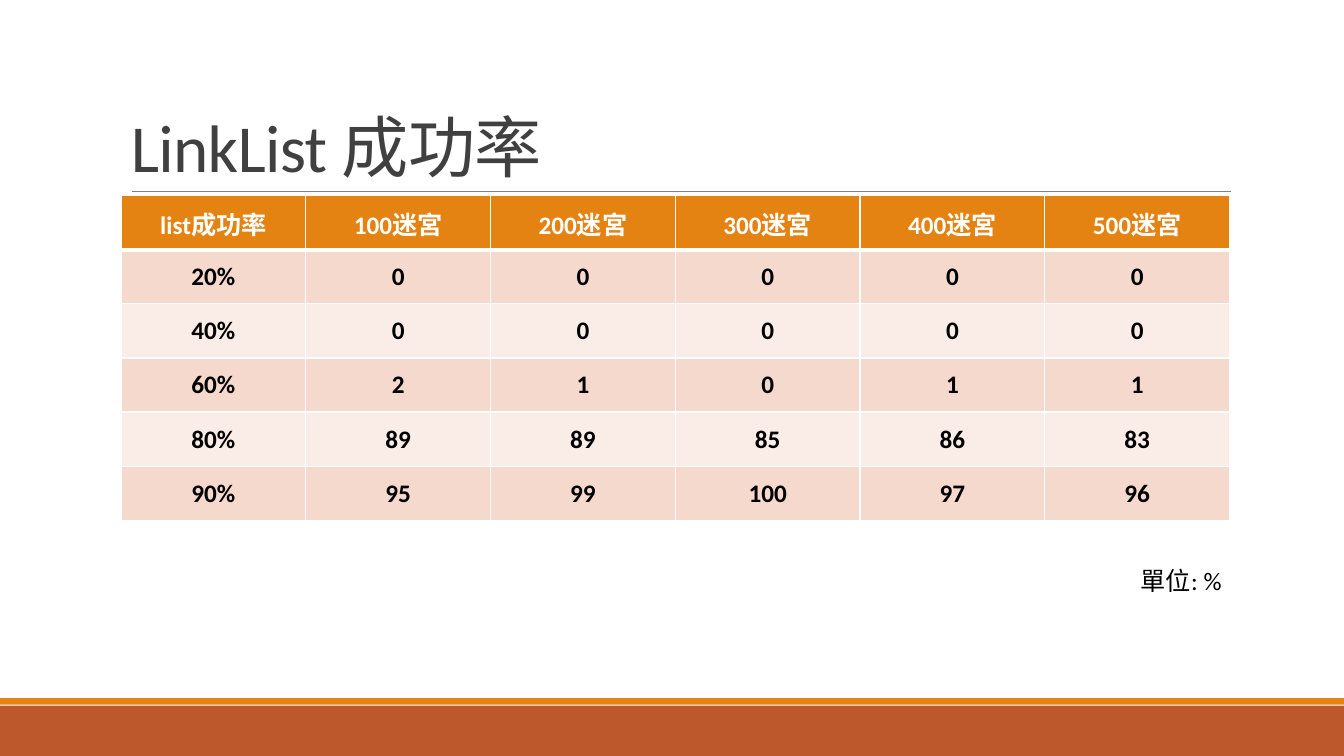
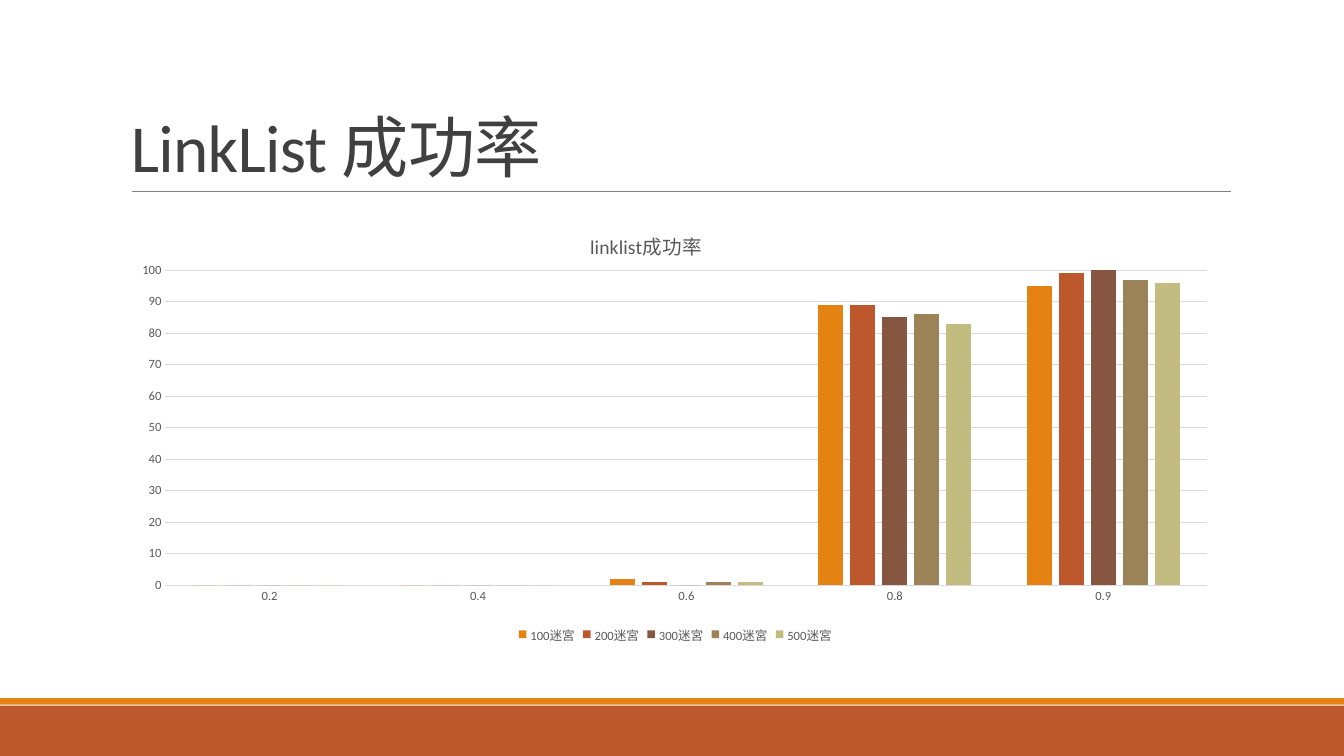
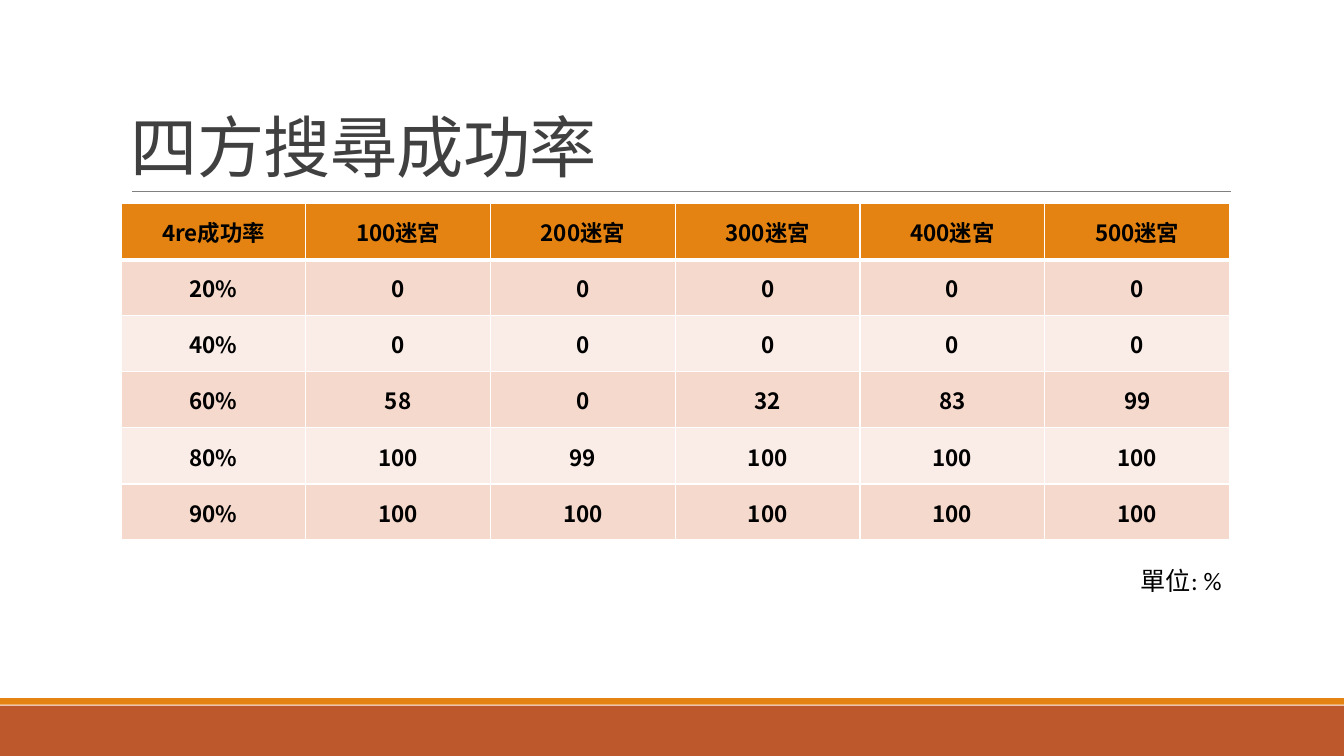
"""Build three slides on the success rates of two maze searches."""
from lxml import etree
from pptx import Presentation
from pptx import util as u
from pptx.chart import data
from pptx.dml.color import RGBColor
from pptx.enum import chart as kinds, shapes, text
from pptx.oxml import ns

WHITE = RGBColor(0xFF, 0xFF, 0xFF)
BLACK = RGBColor(0, 0, 0)
DARK = RGBColor(0x40, 0x40, 0x40)
GRAY = RGBColor(0x59, 0x59, 0x59)
RULE = RGBColor(0x80, 0x80, 0x80)
GRID = RGBColor(0xD9, 0xD9, 0xD9)
ORANGE = RGBColor(0xE4, 0x83, 0x12)
RUST = RGBColor(0xBD, 0x58, 0x2C)
BROWN = RGBColor(0x86, 0x56, 0x40)
TAN = RGBColor(0x9B, 0x83, 0x57)
OLIVE = RGBColor(0xC2, 0xBC, 0x80)
PINK = RGBColor(0xF5, 0xD9, 0xCC)
PALE = RGBColor(0xFA, 0xED, 0xE7)

LATIN = "Calibri"
ASIAN = "Noto Sans CJK TC"
LEFT, WIDTH = 3.05, 27.94
RATES = [0.2, 0.4, 0.6, 0.8, 0.9]
MAZES = [f"{size}迷宮" for size in range(100, 600, 100)]
LINKED = [
    [0, 0, 0, 0, 0],
    [0, 0, 0, 0, 0],
    [2, 1, 0, 1, 1],
    [89, 89, 85, 86, 83],
    [95, 99, 100, 97, 96],
]
FOURWAY = [
    [0, 0, 0, 0, 0],
    [0, 0, 0, 0, 0],
    [58, 0, 32, 83, 99],
    [100, 99, 100, 100, 100],
    [100, 100, 100, 100, 100],
]


def box(*sizes):
    return [u.Cm(size) for size in sizes]


def style(font, size, color, name=LATIN, bold=False):
    font.name, font.size, font.bold = name, u.Pt(size), bold
    font.color.rgb = color


def write(frame, words, size=18, color=BLACK, name=LATIN, bold=False,
          align=None, lead=None, track=None):
    para = frame.paragraphs[0]
    para.alignment, para.line_spacing = align, lead
    run = para.add_run()
    run.text = words
    style(run.font, size, color, name, bold)
    props = run._r.get_or_add_rPr()
    etree.SubElement(props, ns.qn("a:ea"), typeface=ASIAN)
    if track is not None:
        props.set("spc", str(track))


def label(slide, words, place, anchor=text.MSO_ANCHOR.TOP, **form):
    frame = slide.shapes.add_textbox(*box(*place)).text_frame
    frame.word_wrap = True
    frame.vertical_anchor = anchor
    write(frame, words, **form)


def band(slide, top, height, color):
    bar = slide.shapes.add_shape(shapes.MSO_SHAPE.RECTANGLE,
                                 *box(0, top, 33.87, height))
    bar.shadow.inherit = False
    bar.fill.solid()
    bar.fill.fore_color.rgb = color
    bar.line.fill.background()


def rule(slide):
    line = slide.shapes.add_connector(shapes.MSO_CONNECTOR.STRAIGHT,
                                      *box(3.33, 4.83, 31.01, 4.83))
    line.line.color.rgb = RULE
    line.line.width = u.Pt(0.5)
    etree.SubElement(line._element.spPr, ns.qn("a:effectLst"))


def page(deck, title):
    slide = deck.slides.add_slide(deck.slide_layouts[6])
    band(slide, 17.78, 1.27, RUST)
    band(slide, 17.59, 0.17, ORANGE)
    rule(slide)
    label(slide, title, (LEFT, 0.79, WIDTH, 4.04), text.MSO_ANCHOR.BOTTOM,
          size=48, color=DARK, lead=0.85, track=-50)
    return slide


def edge(cell, row):
    props = cell._tc.get_or_add_tcPr()
    widths = {"L": 1, "R": 1, "T": 3 if row == 1 else 1, "B": 1 if row else 3}
    for place, (side, width) in enumerate(widths.items()):
        line = etree.Element(ns.qn(f"a:ln{side}"), w=str(u.Pt(width)))
        fill = etree.SubElement(line, ns.qn("a:solidFill"))
        etree.SubElement(fill, ns.qn("a:srgbClr"), val=str(WHITE))
        props.insert(place, line)


def grid(slide, corner, scores, top, height, head=BLACK, **form):
    rows = [[corner] + MAZES]
    rows += [[f"{rate:.0%}"] + line for rate, line in zip(RATES, scores)]
    table = slide.shapes.add_table(len(rows), len(rows[0]),
                                   *box(LEFT, top, WIDTH, height)).table
    table.horz_banding = False
    for r, row in enumerate(rows):
        for c, value in enumerate(row):
            cell = table.cell(r, c)
            cell.margin_left = cell.margin_right = u.Cm(0.02)
            cell.margin_top, cell.margin_bottom = u.Cm(0.02), 0
            cell.vertical_anchor = text.MSO_ANCHOR.MIDDLE
            cell.fill.solid()
            cell.fill.fore_color.rgb = (PINK if r % 2 else PALE) if r else ORANGE
            write(cell.text_frame, str(value), color=BLACK if r else head,
                  bold=True, align=text.PP_ALIGN.CENTER, **form)
            edge(cell, r)
    label(slide, "單位: %", (28.5, 14.12, 5.3, 1.02))


def layout(owner, index, **spots):
    old = owner.find(ns.qn("c:layout"))
    if old is not None:
        owner.remove(old)
    node = etree.Element(ns.qn("c:layout"))
    owner.insert(index, node)
    manual = etree.SubElement(node, ns.qn("c:manualLayout"))
    for tag, value in spots.items():
        etree.SubElement(manual, ns.qn(f"c:{tag}"), val=str(value))


def bars(slide, title, scores):
    feed = data.CategoryChartData(number_format="General")
    feed.categories = RATES
    for maze, column in zip(MAZES, zip(*scores)):
        feed.add_series(maze, column)
    chart = slide.shapes.add_chart(kinds.XL_CHART_TYPE.COLUMN_CLUSTERED,
                                   *box(LEFT, 5.13, WIDTH, 11.18), feed).chart
    style(chart.font, 10, BLACK)
    chart.has_title = True
    write(chart.chart_title.text_frame, title, size=14, color=GRAY)
    layout(chart.chart_title._element, 1,
           xMode="edge", yMode="edge", x=0.42, y=0.05)
    layout(chart._chartSpace.chart.plotArea, 0, layoutTarget="inner",
           xMode="edge", yMode="edge", x=0.04, y=0.15, w=0.94, h=0.71)
    plot = chart.plots[0]
    plot.gap_width, plot.overlap, plot.vary_by_categories = 219, -27, False
    for series, color in zip(plot.series, [ORANGE, RUST, BROWN, TAN, OLIVE]):
        series.format.fill.solid()
        series.format.fill.fore_color.rgb = color
    rates, marks = chart.category_axis, chart.value_axis
    for axis in (rates, marks):
        axis.major_tick_mark = axis.minor_tick_mark = kinds.XL_TICK_MARK.NONE
        style(axis.tick_labels.font, 9, GRAY)
    rates.tick_labels.number_format = "0%"
    rates.tick_labels.number_format_is_linked = False
    marks.minimum_scale, marks.maximum_scale, marks.major_unit = 0, 100, 10
    marks.format.line.fill.background()
    for line in (rates.format.line, marks.major_gridlines.format.line):
        line.color.rgb = GRID
        line.width = u.Pt(0.75)
    chart.has_legend = True
    chart.legend.position = kinds.XL_LEGEND_POSITION.BOTTOM
    chart.legend.include_in_layout = False
    style(chart.legend.font, 9, GRAY)


def main():
    deck = Presentation()
    deck.slide_width, deck.slide_height = box(33.87, 19.05)
    grid(page(deck, "LinkList 成功率"), "list成功率", LINKED, 4.93, 8.18,
         head=WHITE)
    bars(page(deck, "LinkList 成功率"), "linklist成功率", LINKED)
    grid(page(deck, "四方搜尋成功率"), "4re成功率", FOURWAY, 5.13, 8.48,
         size=16, name=ASIAN)
    deck.save("out.pptx")


if __name__ == "__main__":
    main()
